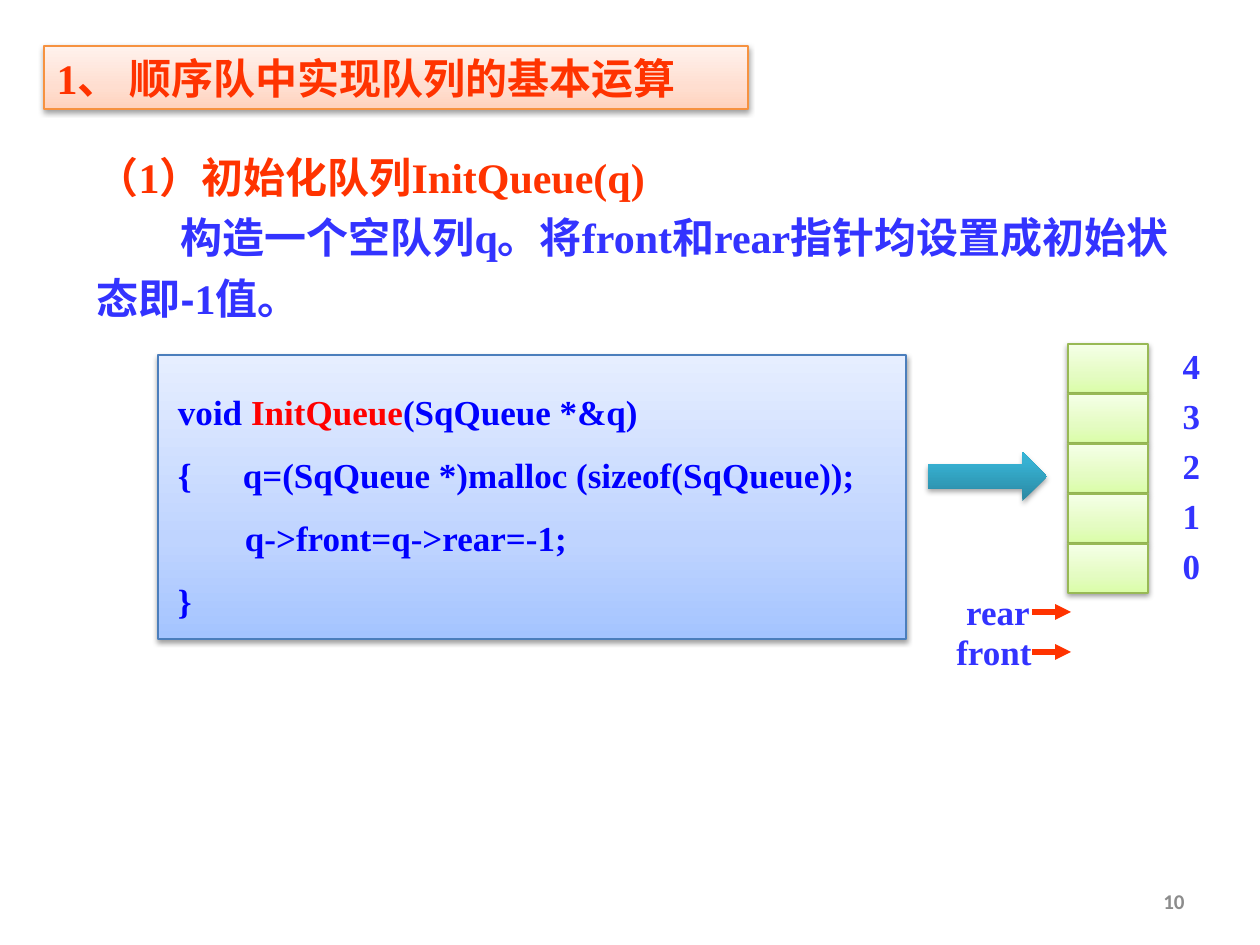
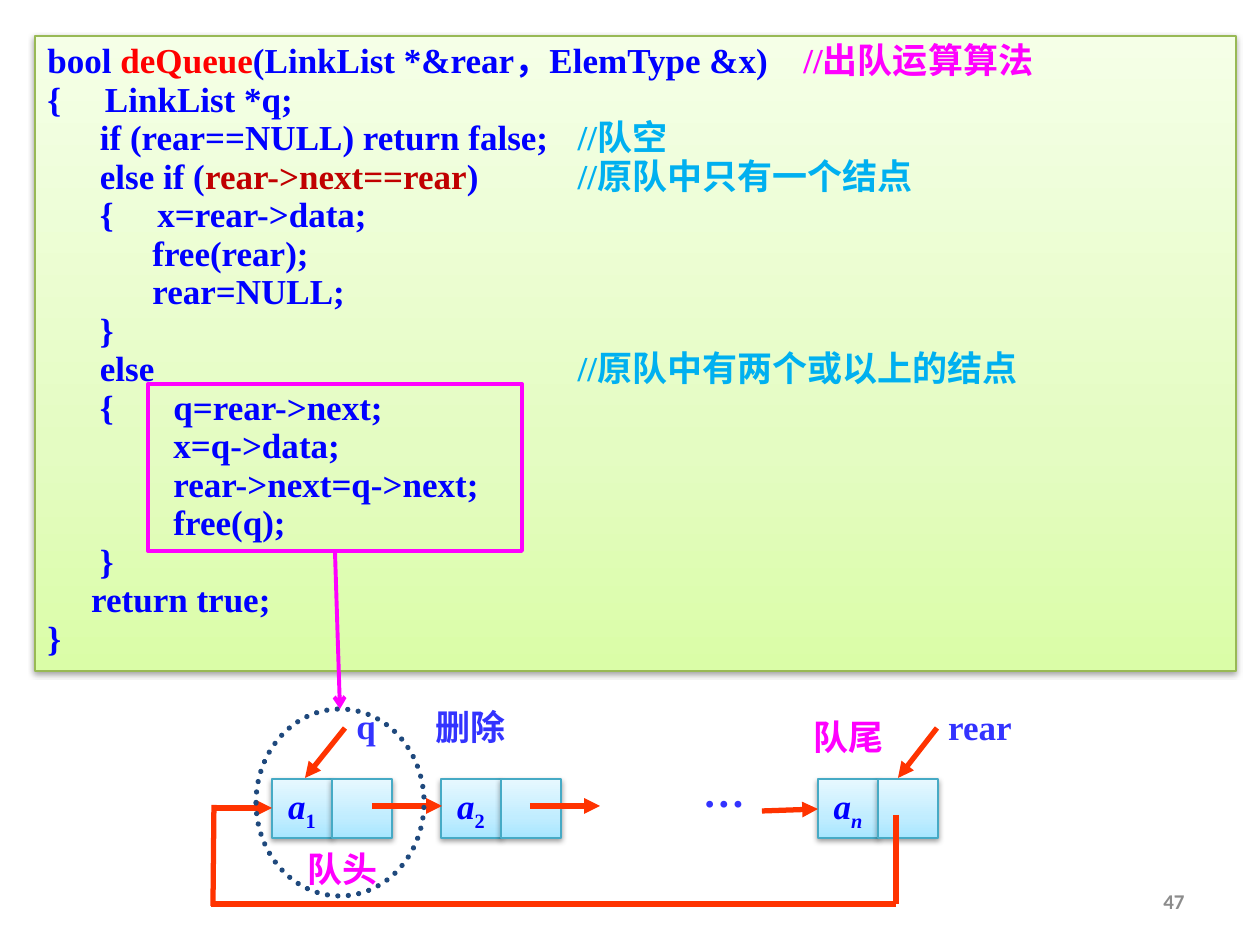
from copy import deepcopy
from dataclasses import dataclass, replace
from typing import NamedTuple

from lxml.etree import SubElement
from pptx import Presentation
from pptx.dml.color import RGBColor
from pptx.enum.dml import MSO_LINE
from pptx.enum.shapes import MSO_CONNECTOR, MSO_SHAPE
from pptx.enum.text import MSO_ANCHOR, MSO_AUTO_SIZE, PP_ALIGN
from pptx.oxml.ns import qn
from pptx.shapes.autoshape import Shape
from pptx.slide import Slide
from pptx.text.text import TextFrame
from pptx.util import Emu, Pt

EMU_PER_PX = 914400 / 126


class Box(NamedTuple):
    left: int
    top: int
    width: int
    height: int


class Span(NamedTuple):
    text: str
    color: str | None = None
    font: str | None = None
    italic: bool | None = None
    subscript: bool = False


class Panel(NamedTuple):
    stops: tuple[tuple[int, str], ...]
    line: str | None
    shadow_alpha: int = 38
    shadow_distance: int = 20000


class Label(NamedTuple):
    text: str
    box: Box


class Arrow(NamedTuple):
    start: tuple[int, int]
    end: tuple[int, int]
    head: str | None = "triangle"


class Node(NamedTuple):
    left: int
    index: Span


@dataclass(frozen=True)
class TextStyle:
    size: int
    color: str
    font: str = "Times New Roman"
    bold: bool = True
    align: PP_ALIGN = PP_ALIGN.LEFT
    spacing: float | Pt | None = None
    indent: int = 0
    tab: int = 126


@dataclass(frozen=True)
class Theme:
    cjk: str = "Noto Sans CJK SC"
    orange: str = "FF3300"
    red: str = "FF0000"
    crimson: str = "C00000"
    magenta: str = "FF00FF"
    comment: str = "00B0F0"
    navy: str = "1F497D"
    heading: TextStyle = TextStyle(24, "FF3300")
    body: TextStyle = TextStyle(24, "3333FF", spacing=1.2)
    label: TextStyle = TextStyle(20, "3333FF", align=PP_ALIGN.CENTER)
    number: TextStyle = TextStyle(12, "8C8C8C", "Calibri", align=PP_ALIGN.RIGHT)
    listing: TextStyle = TextStyle(20, "0000FF")
    peach: Panel = Panel(((0, "FFD2BD"), (35, "FFDED0"), (100, "FFF2ED")), "F69240")
    blue: Panel = Panel(((0, "A4C4FF"), (35, "BFD4FF"), (100, "E6EEFF")), "4B7EBC")
    green: Panel = Panel(((0, "DAFDA7"), (35, "E4FCC2"), (100, "F5FFE7")), "98B955")
    sky: Panel = Panel(((0, "A7E6FF"), (35, "C1EDFF"), (100, "E7F8FF")), "46AAC5")
    teal: Panel = Panel(((0, "2A88A2"), (80, "37B1D2"), (100, "34B4D6")), None, 35, 23000)


THEME = Theme()

INIT_QUEUE = (
    (Span("void "), Span("InitQueue", THEME.red), Span("(SqQueue *&q)")),
    (Span("{　  q=(SqQueue *)malloc (sizeof(SqQueue));"),),
    (Span("　    q->front=q->rear=-1;"),),
    (Span("}"),),
)

DEQUEUE = (
    (Span("bool "), Span("deQueue", THEME.red), Span("(LinkList *&rear，ElemType &x)\t"),
     Span("//出队运算算法", THEME.magenta)),
    (Span("{     LinkList *q;"),),
    (Span("      if (rear==NULL) return false;\t   "), Span("//队空", THEME.comment)),
    (Span("      else if ("), Span("rear->next==rear", THEME.crimson), Span(")\t  "),
     Span(" //原队中只有一个结点", THEME.comment)),
    (Span("      {     x=rear->data;"),),
    (Span("            free(rear);"),),
    (Span("            rear=NULL;"),),
    (Span("      }"),),
    (Span("      else\t\t\t     \t  "), Span(" //原队中有两个或以上的结点", THEME.comment)),
    (Span("      {\tq=rear->next;"),),
    (Span("\tx=q->data;"),),
    (Span("\trear->next=q->next;"),),
    (Span("\tfree(q);"),),
    (Span("      }"),),
    (Span("     return true;"),),
    (Span("}"),),
)


def px(length: int) -> Emu:
    """Turn a length in px into EMU."""
    return Emu(round(length * EMU_PER_PX))


def rgb(color: str) -> RGBColor:
    """Turn a hex string into a colour."""
    return RGBColor.from_string(color)


def place(shape: Shape, box: Box) -> None:
    """Move and size a shape."""
    shape.left, shape.top, shape.width, shape.height = map(px, box)


def write_line(frame: TextFrame, spans: tuple[Span, ...], style: TextStyle, first: bool) -> None:
    """Write one paragraph of spans in a style."""
    para = frame.paragraphs[0] if first else frame.add_paragraph()
    properties = para._p.get_or_add_pPr()
    properties.set("marL", "0")
    properties.set("indent", str(px(style.indent)))
    properties.set("defTabSz", str(px(style.tab)))
    SubElement(properties, qn("a:buNone"))
    para.alignment = style.align
    para.space_before = Pt(0)
    para.line_spacing = style.spacing
    para.font.size = Pt(style.size)
    para.font.bold = style.bold
    para.font.name = style.font
    para.font.color.rgb = rgb(style.color)
    SubElement(properties.find(qn("a:defRPr")), qn("a:ea"), typeface=THEME.cjk)
    for part in spans:
        span = para.add_run()
        span.text = part.text
        if part.color:
            span.font.color.rgb = rgb(part.color)
        if part.font:
            span.font.name = part.font
        if part.italic is not None:
            span.font.italic = part.italic
        if part.subscript:
            span._r.get_or_add_rPr().set("baseline", "-25000")


def write(shape: Shape, lines: tuple[tuple[Span, ...], ...], style: TextStyle,
          anchor: MSO_ANCHOR = MSO_ANCHOR.TOP, wrap: bool = True) -> None:
    """Fill the text frame of a shape."""
    frame = shape.text_frame
    frame.auto_size = MSO_AUTO_SIZE.NONE
    frame.word_wrap = wrap
    frame.vertical_anchor = anchor
    for number, spans in enumerate(lines):
        write_line(frame, spans, style, number == 0)


def paint(shape: Shape, panel: Panel) -> None:
    """Give a shape its gradient, outline and shadow."""
    shape.fill.gradient()
    shape.fill.gradient_angle = 90
    stops = shape.element.spPr.xpath("a:gradFill/a:gsLst")[0]
    stops.insert(1, deepcopy(stops[0]))
    for stop, (position, color) in zip(shape.fill.gradient_stops, panel.stops):
        stop.position = position / 100
        stop.color.rgb = rgb(color)
    if panel.line:
        shape.line.color.rgb = rgb(panel.line)
        shape.line.width = Pt(0.75)
    else:
        shape.line.fill.background()
    shape.shadow.inherit = False
    effects = shape.element.spPr.find(qn("a:effectLst"))
    shadow = SubElement(effects, qn("a:outerShdw"), blurRad="40000",
                        dist=str(panel.shadow_distance), dir="5400000", rotWithShape="0")
    black = SubElement(shadow, qn("a:srgbClr"), val="000000")
    SubElement(black, qn("a:alpha"), val=str(panel.shadow_alpha * 1000))


def add_panel(page: Slide, box: Box, panel: Panel, kind: MSO_SHAPE = MSO_SHAPE.RECTANGLE) -> Shape:
    """Add a painted shape."""
    shape = page.shapes.add_shape(kind, *map(px, box))
    paint(shape, panel)
    return shape


def add_outline(page: Slide, box: Box, kind: MSO_SHAPE, color: str, width: float) -> Shape:
    """Add an unfilled shape."""
    shape = page.shapes.add_shape(kind, *map(px, box))
    shape.fill.background()
    shape.line.color.rgb = rgb(color)
    shape.line.width = Pt(width)
    shape.shadow.inherit = False
    return shape


def add_label(page: Slide, label: Label, style: TextStyle = THEME.label,
              anchor: MSO_ANCHOR = MSO_ANCHOR.TOP) -> None:
    """Add a one-line text box."""
    write(page.shapes.add_textbox(*map(px, label.box)), ((Span(label.text),),), style, anchor)


def add_arrow(page: Slide, arrow: Arrow, color: str = THEME.orange, width: float = 3) -> None:
    """Add a straight line with an optional head."""
    ends = map(px, arrow.start + arrow.end)
    line = page.shapes.add_connector(MSO_CONNECTOR.STRAIGHT, *ends)
    line.line.color.rgb = rgb(color)
    line.line.width = Pt(width)
    properties = line.element.spPr
    if arrow.head:
        SubElement(properties.find(qn("a:ln")), qn("a:tailEnd"), type=arrow.head)
    SubElement(properties, qn("a:effectLst"))


def add_page_number(page: Slide, number: int) -> None:
    """Add the footer number."""
    add_label(page, Label(str(number), Box(903, 876, 294, 50)), THEME.number, MSO_ANCHOR.MIDDLE)


def build_init_page(page: Slide) -> None:
    """Draw the initialisation of the sequential queue."""
    title, body = page.shapes.title, page.placeholders[1]
    place(title, Box(44, 46, 704, 63))
    paint(title, THEME.peach)
    write(title, ((Span("1、 顺序队中实现队列的基本运算"),),), THEME.heading)
    place(body, Box(84, 135, 1116, 197))
    write(body, ((Span("（1）初始化队列InitQueue(q)"),),), replace(THEME.body, color=THEME.orange))
    explanation = (Span("构造一个空队列q。将front和rear指针均设置成初始状态即"),
                   Span("-", font="Arial"), Span("1值。"))
    write_line(body.text_frame, explanation, replace(THEME.body, indent=84), False)
    code = add_panel(page, Box(158, 355, 748, 284), THEME.blue)
    write(code, INIT_QUEUE, replace(THEME.listing, spacing=1.5))
    frame = code.text_frame
    frame.margin_left = frame.margin_right = px(20)
    frame.margin_top = frame.margin_bottom = px(15)
    for row in range(5):
        top = 344 + 50 * row
        add_panel(page, Box(1068, top, 80, 49), THEME.green)
        add_label(page, Label(str(4 - row), Box(1162, top - 6, 59, 54)))
    for label in (Label("rear", Box(948, 584, 100, 54)), Label("front", Box(934, 624, 120, 54))):
        height = label.box.top + 28
        add_arrow(page, Arrow((1032, height), (1071, height)))
        add_label(page, label)
    add_panel(page, Box(928, 452, 119, 49), THEME.teal, MSO_SHAPE.RIGHT_ARROW)
    add_page_number(page, 10)


def build_dequeue_page(page: Slide) -> None:
    """Draw the dequeue code and the circular list below it."""
    code = add_panel(page, Box(35, 36, 1201, 635), THEME.green)
    write(code, DEQUEUE, replace(THEME.listing, spacing=Pt(22)))
    centred = replace(THEME.listing, align=PP_ALIGN.CENTER)
    for node in (Node(272, Span("1", italic=False, subscript=True)),
                 Node(441, Span("2", italic=False, subscript=True)),
                 Node(818, Span("n", italic=True, subscript=True))):
        data = add_panel(page, Box(node.left, 779, 60, 59), THEME.sky)
        write(data, ((Span("a", italic=True), node.index),), centred, MSO_ANCHOR.MIDDLE, False)
        add_panel(page, Box(node.left + 60, 779, 60, 59), THEME.sky)
    for arrow in (Arrow((762, 811), (818, 809)), Arrow((372, 806), (442, 806)),
                  Arrow((530, 806), (600, 806)), Arrow((896, 815), (896, 904), None),
                  Arrow((211, 904), (896, 904), None), Arrow((214, 805), (213, 906), None),
                  Arrow((213, 808), (272, 808)), Arrow((937, 728), (898, 778)),
                  Arrow((345, 728), (305, 778))):
        add_arrow(page, arrow)
    chinese = replace(THEME.label, font=THEME.cjk)
    for label in (Label("队头", Box(283, 841, 120, 54)), Label("队尾", Box(789, 709, 120, 54))):
        add_label(page, label, replace(chinese, color=THEME.magenta))
    add_label(page, Label("删除", Box(423, 699, 118, 55)), replace(chinese, align=PP_ALIGN.LEFT))
    add_label(page, Label("rear", Box(925, 699, 110, 54)))
    add_label(page, Label("q", Box(344, 698, 42, 54)))
    add_label(page, Label("…", Box(669, 759, 110, 63)), replace(THEME.label, size=24))
    ring = add_outline(page, Box(256, 709, 168, 187), MSO_SHAPE.OVAL, THEME.navy, 3)
    ring.line.dash_style = MSO_LINE.ROUND_DOT
    ring.element.spPr.find(qn("a:ln")).set("cap", "rnd")
    add_outline(page, Box(148, 384, 374, 167), MSO_SHAPE.RECTANGLE, THEME.magenta, 2.25)
    add_arrow(page, Arrow((335, 552), (340, 709), "arrow"), THEME.magenta, 2.25)
    add_page_number(page, 47)


def main() -> None:
    """Build and save the deck."""
    deck = Presentation()
    deck.slide_width, deck.slide_height = px(1260), px(945)
    build_init_page(deck.slides.add_slide(deck.slide_layouts[1]))
    build_dequeue_page(deck.slides.add_slide(deck.slide_layouts[6]))
    deck.save("out.pptx")


if __name__ == "__main__":
    main()
